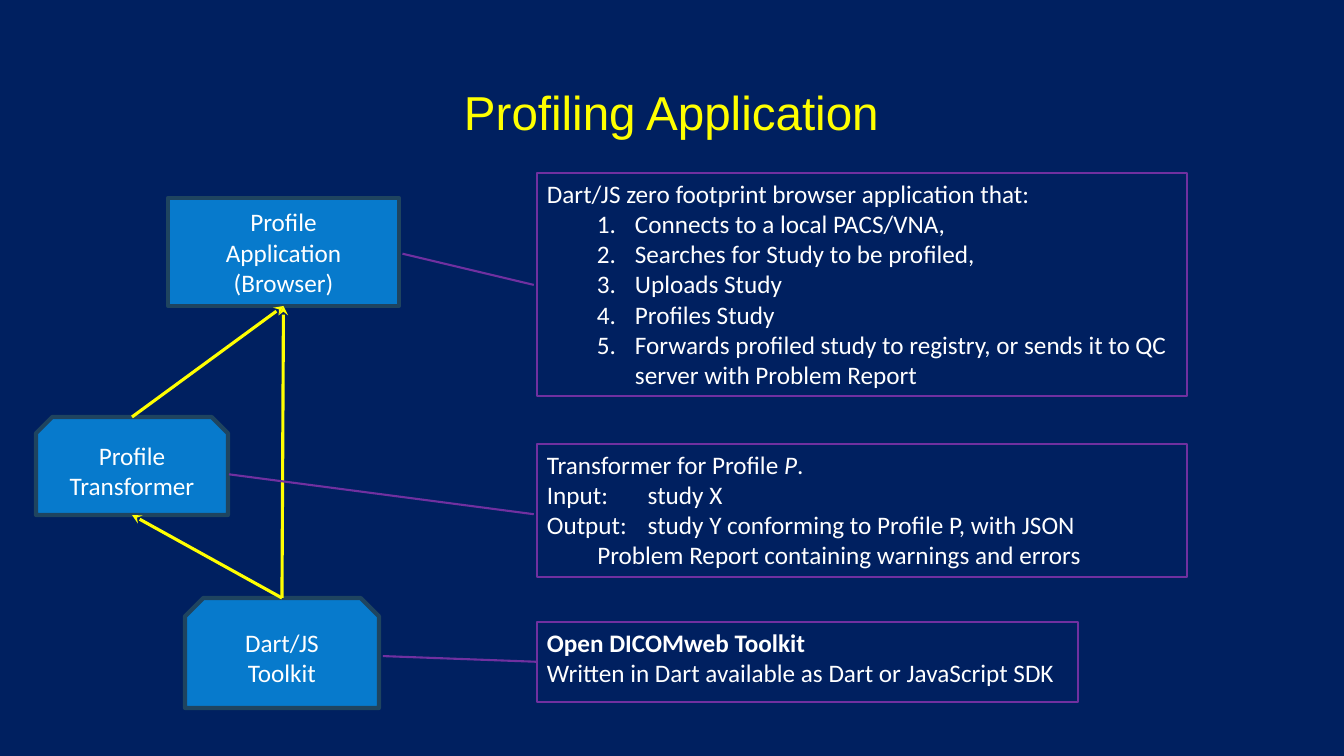
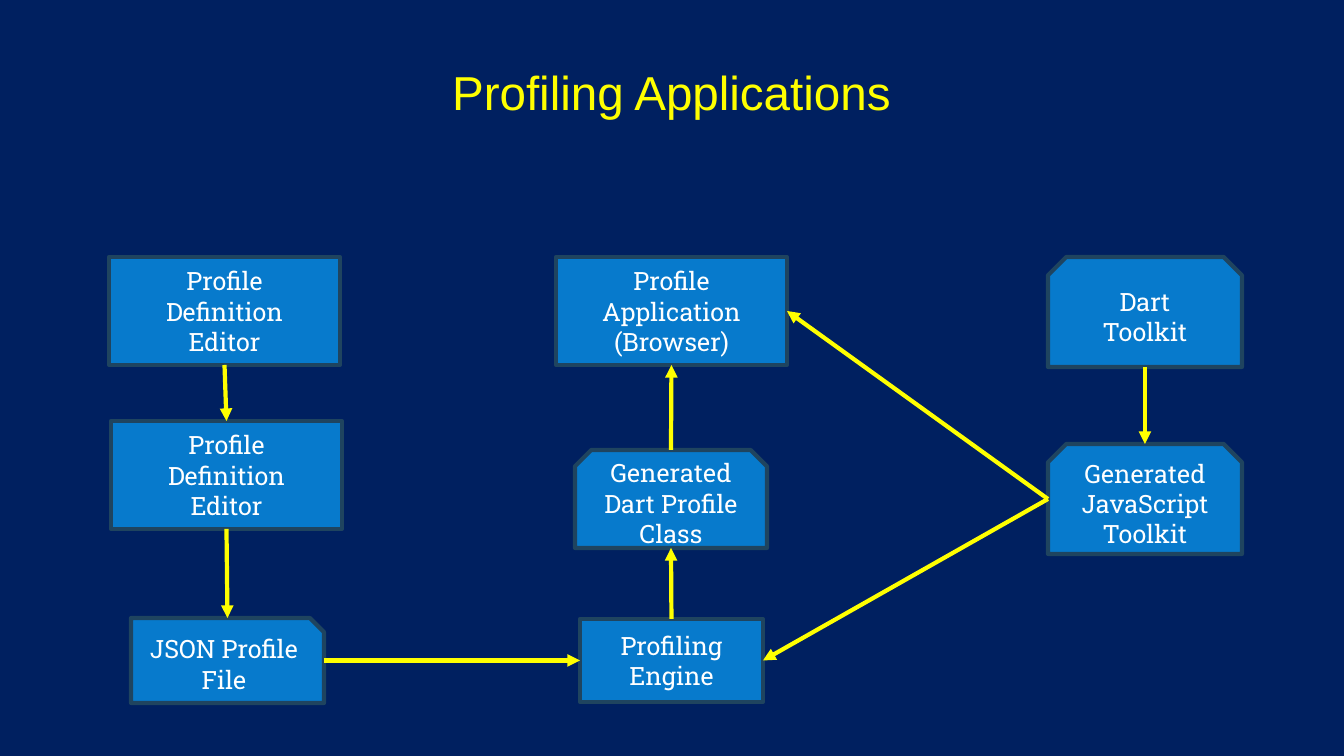
from lxml.etree import SubElement
from pptx import Presentation
from pptx.dml.color import RGBColor
from pptx.enum.shapes import MSO_CONNECTOR, MSO_SHAPE
from pptx.enum.text import MSO_ANCHOR, PP_ALIGN
from pptx.oxml.ns import qn
from pptx.util import Pt

NAVY = RGBColor(0x00, 0x20, 0x60)
BLUE = RGBColor(0x07, 0x7A, 0xCC)
SLATE = RGBColor(0x1F, 0x44, 0x5F)
PURPLE = RGBColor(0x70, 0x30, 0xA0)
YELLOW = RGBColor(0xFF, 0xFF, 0x00)
WHITE = RGBColor(0xFF, 0xFF, 0xFF)

RECT = MSO_SHAPE.RECTANGLE
SNIP1 = MSO_SHAPE.SNIP_1_RECTANGLE
SNIP2 = MSO_SHAPE.SNIP_2_SAME_RECTANGLE

# Box sizes in pixels, shared by both slides
APP = (231, 108)
MODULE = (192, 98)
TOOLKIT = (194, 110)

# Boxes: name -> (shape, left, top, size, lines)
# Arrows: (from box, side, to box, side)
# Callouts: (area, adjustments, paragraphs of (numbered, runs of (text, style)))
SLIDES = [
    {
        "title": ("Profiling Application", (101, 68, 1141, 94)),
        "font": "Calibri",
        "arrow": (2.25, "stealth"),
        "boxes": {
            "transformer": (SNIP2, 36, 417, MODULE, ["Profile", "Transformer"]),
            "toolkit": (SNIP2, 185, 598, TOOLKIT, ["Dart/JS", "Toolkit"]),
            "app": (RECT, 168, 198, APP, ["Profile", "Application", "(Browser)"]),
        },
        "arrows": [
            ("transformer", "top", "app", "bottom"),
            ("toolkit", "top", "app", "bottom"),
            ("toolkit", "top", "transformer", "bottom"),
        ],
        "callouts": [
            ((537, 173, 650, 223), (0.502, -0.005, 0.362, -0.207), [
                (False, [("Dart/JS zero footprint browser application that:", "")]),
                (True, [("Connects to a local PACS/VNA,", "")]),
                (True, [("Searches for Study to be profiled,", "")]),
                (True, [("Uploads Study", "")]),
                (True, [("Profiles Study", "")]),
                (True, [("Forwards profiled study to registry, or sends it "
                         "to QC server with Problem Report", "")]),
            ]),
            ((537, 622, 541, 80), (0.498, -0.002, 0.427, -0.285), [
                (False, [("Open DICOMweb Toolkit", "b")]),
                (False, [("Written in Dart available as Dart or JavaScript SDK", "")]),
            ]),
            ((537, 444, 650, 133), (0.528, -0.005, 0.228, -0.474), [
                (False, [("Transformer for Profile ", ""), ("P", "i"), (".", "")]),
                (False, [("Input:\tstudy X", "")]),
                (False, [("Output:\tstudy Y conforming to Profile P, with JSON", "")]),
                (False, [("\tProblem Report containing warnings and errors", "")]),
            ]),
        ],
    },
    {
        "title": ("Profiling Applications", (101, 40, 1141, 111)),
        "font": "Roboto Slab",
        "arrow": (3, "triangle"),
        "boxes": {
            "json": (SNIP1, 131, 618, (193, 85), ["JSON Profile File"]),
            "class": (SNIP2, 575, 450, MODULE, ["Generated", "Dart Profile", "Class"]),
            "js": (SNIP2, 1048, 444, TOOLKIT, ["Generated", "JavaScript", "Toolkit"]),
            "dart": (SNIP2, 1048, 257, TOOLKIT, ["Dart", "Toolkit"]),
            "editor 1": (RECT, 109, 257, APP, ["Profile", "Definition", "Editor"]),
            "editor 2": (RECT, 111, 421, APP, ["Profile", "Definition", "Editor"]),
            "engine": (RECT, 580, 619, (183, 83), ["Profiling", "Engine"]),
            "app": (RECT, 556, 257, APP, ["Profile", "Application", "(Browser)"]),
        },
        "arrows": [
            ("editor 1", "bottom", "editor 2", "top"),
            ("editor 2", "bottom", "json", "top"),
            ("json", "right", "engine", "left"),
            ("engine", "top", "class", "bottom"),
            ("class", "top", "app", "bottom"),
            ("dart", "bottom", "js", "top"),
            ("js", "left", "engine", "right"),
            ("js", "left", "app", "right"),
        ],
        "callouts": [],
    },
]

# Where each side's midpoint lies, as shares of width and height
SIDES = {"top": (0.5, 0), "bottom": (0.5, 1), "left": (0, 0.5), "right": (1, 0.5)}


def px(n):
    """Turn pixels into EMU."""
    return round(n * 914400 / 100.8)


def add_run(p, text, font, size=18, color=WHITE, style=""):
    """Append one formatted run to a paragraph."""
    r = p.add_run()
    r.text = text
    r.font.name, r.font.size = font, Pt(size)
    r.font.color.rgb = color
    r.font.bold, r.font.italic = style == "b", style == "i"


def paragraphs(tf, items):
    """Yield each item with its own paragraph of the text frame."""
    for i, item in enumerate(items):
        yield (tf.add_paragraph() if i else tf.paragraphs[0]), item


def set_title(s, text, area):
    """Place and format the title placeholder."""
    sp = s.shapes.title
    sp.left, sp.top, sp.width, sp.height = map(px, area)
    sp.text_frame.vertical_anchor = MSO_ANCHOR.MIDDLE
    p = sp.text_frame.paragraphs[0]
    p.alignment, p.line_spacing = PP_ALIGN.CENTER, 0.9
    add_run(p, text, "Arial", 34, YELLOW)


def add_panel(s, shape, area, fill, line, width, anchor):
    """Add a filled, outlined shape ready for text."""
    sp = s.shapes.add_shape(shape, *map(px, area))
    sp.shadow.inherit = False
    sp.fill.solid()
    sp.fill.fore_color.rgb = fill
    sp.line.color.rgb = line
    sp.line.width = Pt(width)
    sp.text_frame.word_wrap = True
    sp.text_frame.vertical_anchor = anchor
    return sp


def add_box(s, font, shape, left, top, size, lines):
    """Add a diagram box with centred lines."""
    sp = add_panel(s, shape, (left, top, *size), BLUE, SLATE, 3, MSO_ANCHOR.MIDDLE)
    for p, text in paragraphs(sp.text_frame, lines):
        p.alignment = PP_ALIGN.CENTER
        add_run(p, text, font)
    return sp


def number(p):
    """Turn a paragraph into an indented numbered item."""
    pPr = p._p.get_or_add_pPr()
    pPr.set("marL", str(px(88)))
    pPr.set("indent", str(px(-38)))
    SubElement(pPr, qn("a:buFont"), typeface="+mj-lt")
    SubElement(pPr, qn("a:buAutoNum"), type="arabicPeriod")


def add_callout(s, font, area, adjustments, items):
    """Add a callout with its leader line and text."""
    sp = add_panel(s, MSO_SHAPE.LINE_CALLOUT_1, area, NAVY, PURPLE, 1.5, MSO_ANCHOR.TOP)
    for i, value in enumerate(adjustments):
        sp.adjustments[i] = value
    for p, (numbered, runs) in paragraphs(sp.text_frame, items):
        p.alignment = PP_ALIGN.LEFT
        if numbered:
            number(p)
        for text, style in runs:
            add_run(p, text, font, style=style)


def side_point(sp, side):
    """Return the midpoint of one side of a shape."""
    fx, fy = SIDES[side]
    return round(sp.left + fx * sp.width), round(sp.top + fy * sp.height)


def add_arrow(s, start, end, width, head):
    """Add a straight yellow arrow."""
    c = s.shapes.add_connector(MSO_CONNECTOR.STRAIGHT, *start, *end)
    c.line.color.rgb = YELLOW
    c.line.width = Pt(width)
    SubElement(c.line._get_or_add_ln(), qn("a:tailEnd"), type=head)
    SubElement(c._element.spPr, qn("a:effectLst"))


def build(prs, data):
    """Build one slide from its content."""
    s = prs.slides.add_slide(prs.slide_layouts[5])
    set_title(s, *data["title"])
    boxes = {name: add_box(s, data["font"], *box) for name, box in data["boxes"].items()}
    for source, out, target, into in data["arrows"]:
        add_arrow(s, side_point(boxes[source], out), side_point(boxes[target], into),
                  *data["arrow"])
    for callout in data["callouts"]:
        add_callout(s, data["font"], *callout)


prs = Presentation()
prs.slide_width, prs.slide_height = px(1344), px(756)
background = prs.slide_master.background.fill
background.solid()
background.fore_color.rgb = NAVY
for data in SLIDES:
    build(prs, data)
prs.save("out.pptx")
